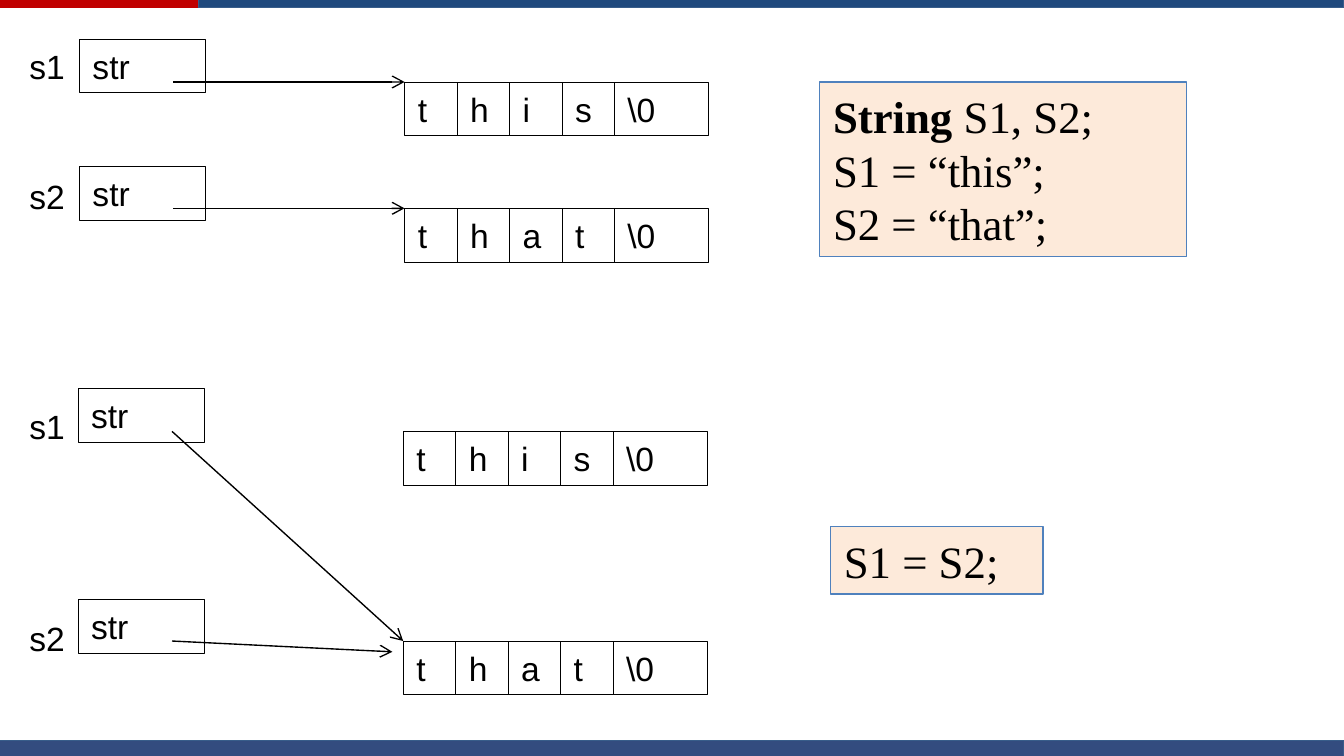
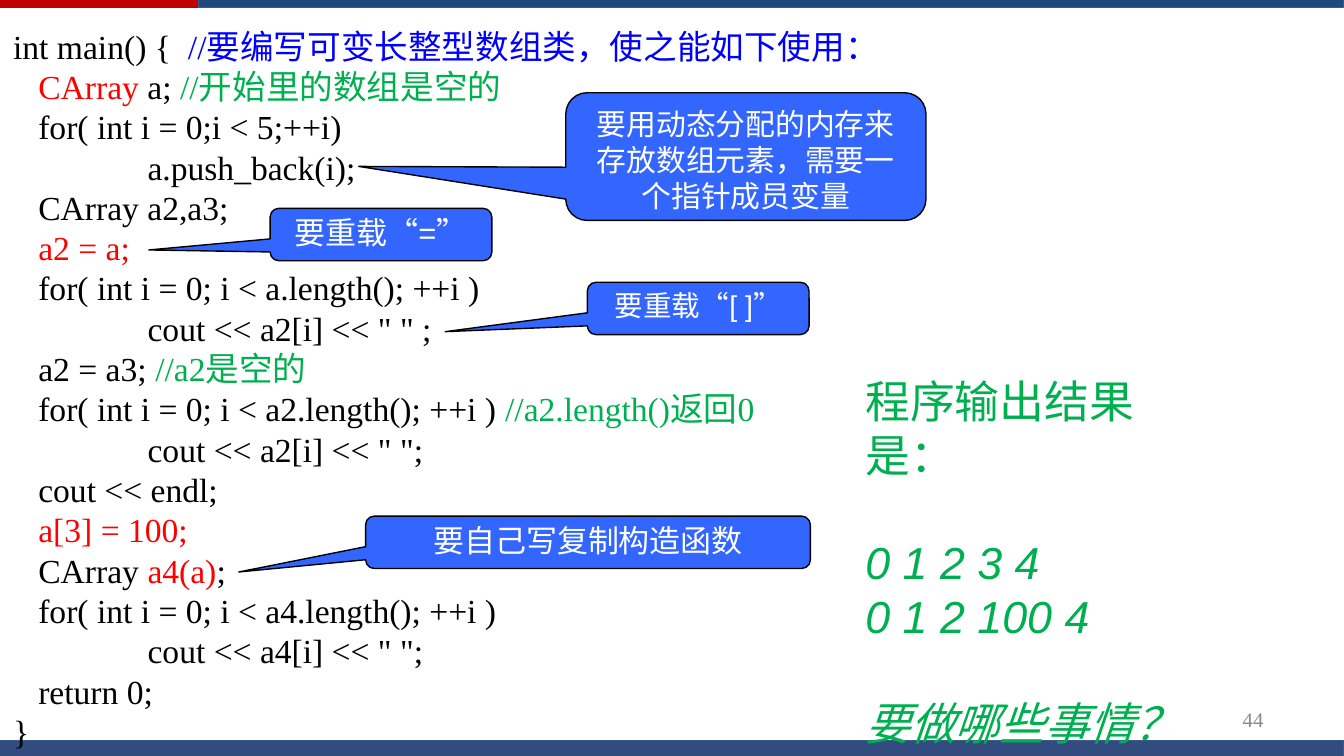
"""Build two slides on string pointers and a growable array class."""
from lxml import etree
from pptx import Presentation, util as u
from pptx.dml.color import RGBColor
from pptx.enum import shapes, text
from pptx.oxml.ns import qn

BLACK = RGBColor(0x00, 0x00, 0x00)
WHITE = RGBColor(0xFF, 0xFF, 0xFF)
RED = RGBColor(0xFF, 0x00, 0x00)
BLUE = RGBColor(0x00, 0x00, 0xFF)
GREEN = RGBColor(0x00, 0xB0, 0x50)
GREY = RGBColor(0x89, 0x89, 0x89)
BAND_RED = RGBColor(0xC0, 0x00, 0x00)
BAND_BLUE = RGBColor(0x1F, 0x49, 0x7D)
FOOTER_NAVY = RGBColor(0x00, 0x20, 0x60)
BAND_EDGE = RGBColor(0x38, 0x5D, 0x8A)
PEACH = RGBColor(0xFD, 0xEA, 0xDA)
PEACH_EDGE = RGBColor(0x4F, 0x81, 0xBD)
CALLOUT_BLUE = RGBColor(0x33, 0x66, 0xFF)

SANS = "Arial"
SERIF = "Times New Roman"
LEADING = 1.2
CELL_WIDTH = 0.39
END_WIDTH = 0.7
ROW_HEIGHT = 0.4
SLIDE_WIDTH = u.Inches(10)
RECT = shapes.MSO_SHAPE.RECTANGLE
CALLOUT = shapes.MSO_SHAPE.ROUNDED_RECTANGULAR_CALLOUT
ALIGN = text.PP_ALIGN
ANCHOR = text.MSO_ANCHOR

PROGRAM = [
    [("int main() {  ", BLACK), ("//要编写可变长整型数组类，使之能如下使用：", BLUE)],
    [("   ", BLACK), ("CArray", RED), (" a; ", BLACK), ("//开始里的数组是空的", GREEN)],
    "   for( int i = 0;i < 5;++i)",
    "   \ta.push_back(i);",
    "   CArray a2,a3;",
    [("   ", BLACK), ("a2 = a;", RED)],
    "   for( int i = 0; i < a.length(); ++i )",
    "   \tcout << a2[i] << \" \" ;",
    [("   a2 = a3; ", BLACK), ("//a2是空的", GREEN)],
    [("   for( int i = 0; i < a2.length(); ++i ) ", BLACK), ("//a2.length()返回0", GREEN)],
    "   \tcout << a2[i] << \" \";",
    "   cout << endl;",
    [("   ", BLACK), ("a[3] = 100;", RED)],
    [("   CArray ", BLACK), ("a4(a)", RED), (";", BLACK)],
    "   for( int i = 0; i < a4.length(); ++i )",
    "   \tcout << a4[i] << \" \";",
    "   return 0;",
    "}",
]


def apply(target, formats):
    """Set each attribute of target from a dict."""
    for name, value in formats.items():
        setattr(target, name, value)


def inches(*lengths):
    """Convert numbers to lengths."""
    return [u.Inches(length) for length in lengths]


def add_tab_stop(paragraph, position):
    """Give a paragraph one left tab stop."""
    stops = etree.SubElement(paragraph._p.get_or_add_pPr(), qn("a:tabLst"))
    etree.SubElement(stops, qn("a:tab"), pos=str(u.Inches(position)), algn="l")


def write_line(paragraph, line, size, font, color, align, spacing):
    """Write one line, given as a string or as (text, colour) pieces."""
    leading = spacing or u.Pt(round(LEADING * size, 1))
    apply(paragraph, {"alignment": align, "line_spacing": leading})
    paragraph._p.get_or_add_pPr().set("hangingPunct", "0")
    for piece, piece_color in [(line, color)] if isinstance(line, str) else line:
        run = paragraph.add_run()
        run.text = piece
        apply(run.font, {"size": u.Pt(size), "name": font})
        run.font.color.rgb = piece_color
        if "\t" in piece:
            add_tab_stop(paragraph, 1)


def write(shape, lines, size=18, font=SANS, color=BLACK, align=ALIGN.LEFT,
          anchor=ANCHOR.TOP, spacing=None):
    """Fill a shape with lines and return its paragraphs."""
    frame = shape.text_frame
    apply(frame, {"word_wrap": True, "vertical_anchor": anchor})
    for index, line in enumerate(lines):
        paragraph = frame.add_paragraph() if index else frame.paragraphs[0]
        write_line(paragraph, line, size, font, color, align, spacing)
    return frame.paragraphs


def add_box(slide, place, fill=None, edge=None, weight=0.75, preset=RECT):
    """Add a preset shape with its own fill and outline."""
    box = slide.shapes.add_shape(preset, *inches(*place))
    box.shadow.inherit = False
    if fill is None:
        box.fill.background()
    else:
        box.fill.solid()
        box.fill.fore_color.rgb = fill
    if edge is None:
        box.line.fill.background()
    else:
        box.line.color.rgb = edge
        box.line._get_or_add_ln().set("w", str(u.Pt(weight)))
    return box


def add_text(slide, place, lines, **style):
    """Add a text box and return its paragraphs."""
    return write(slide.shapes.add_textbox(*inches(*place)), lines, **style)


def add_arrow(slide, start, end):
    """Add a thin black line with an open arrowhead at its end."""
    arrow = slide.shapes.add_connector(shapes.MSO_CONNECTOR.STRAIGHT, *inches(*start, *end))
    arrow.line.color.rgb = BLACK
    arrow.line.width = u.Pt(0.75)
    etree.SubElement(arrow.line._get_or_add_ln(), qn("a:tailEnd"), type="arrow")
    etree.SubElement(arrow._element.spPr, qn("a:effectLst"))


def add_variable(slide, name, left, tops, characters, arrow_end):
    """Draw a string variable, its pointer and the characters in memory."""
    box_top, label_top, memory_top = tops
    write(add_box(slide, (left, box_top, 0.94, ROW_HEIGHT), edge=BLACK, weight=0.25), ["str"])
    add_text(slide, (0.12, label_top, 0.6, ROW_HEIGHT), [name])
    add_arrow(slide, (left + 0.7, memory_top), arrow_end)
    for index, character in enumerate([*characters, "\\0"]):
        width = CELL_WIDTH if index < len(characters) else END_WIDTH
        place = (left + 2.42 + index * CELL_WIDTH, memory_top, width, ROW_HEIGHT)
        write(add_box(slide, place, edge=BLACK, weight=0.25), [character])


def add_statement(slide, place, lines):
    """Add a peach box of statements and return its paragraphs."""
    box = add_box(slide, place, PEACH, PEACH_EDGE)
    return write(box, lines, size=24, font=SERIF, anchor=ANCHOR.MIDDLE)


def add_callout(slide, place, pointer, line, size, spacing=0.9):
    """Add a blue callout whose tip sits at the pointer fractions."""
    callout = add_box(slide, place, CALLOUT_BLUE, BLACK, preset=CALLOUT)
    for index, value in enumerate((*pointer, 0.167)):
        callout.adjustments[index] = value
    write(callout, [line], size=size, color=WHITE, align=ALIGN.CENTER, spacing=spacing)


def add_page(deck):
    """Add a blank slide with the top and bottom bands."""
    slide = deck.slides.add_slide(deck.slide_layouts[6])
    add_box(slide, (0, 0, 10, 0.06), BAND_RED)
    add_box(slide, (1.48, 0, 8.52, 0.06), BAND_BLUE, BAND_EDGE, 0)
    footer = add_box(slide, (0, 5.51, 10, 0.12), FOOTER_NAVY, BAND_EDGE, 0)
    navy = footer._element.spPr.find(qn("a:solidFill"))[0]
    etree.SubElement(navy, qn("a:alpha"), val="80000")
    return slide


def build_pointers(deck):
    """Show the strings before and after a shallow assignment."""
    slide = add_page(deck)
    add_variable(slide, "s1", 0.59, (0.29, 0.29, 0.61), "this", (3.01, 0.61))
    add_variable(slide, "s2", 0.59, (1.24, 1.26, 1.55), "that", (3.01, 1.55))
    add_variable(slide, "s1", 0.58, (2.89, 2.97, 3.21), "this", (3, 4.77))
    add_variable(slide, "s2", 0.58, (4.46, 4.55, 4.77), "that", (2.92, 4.85))
    declaration = [("String ", BLACK), ("S1, S2;", BLACK)]
    statements = add_statement(slide, (6.1, 0.61, 2.73, 1.3),
                               [declaration, "S1 = “this”;", "S2 = “that”;"])
    statements[0].runs[0].font.bold = True
    add_statement(slide, (6.18, 3.92, 1.58, 0.5), ["S1 = S2;"])


def build_array_task(deck):
    """Show the array program, its output and the hints."""
    slide = add_page(deck)
    add_text(slide, (0, 0.14, 9.64, 5.59), PROGRAM, font=SERIF)
    output = add_text(slide, (6.34, 2.73, 2.81, 2.95),
                      ["程序输出结果是：", "0 1 2 3 4", "0 1 2 100 4", "要做哪些事情？"],
                      size=24, color=GREEN)
    for paragraph in output[1:]:
        paragraph.runs[0].font.italic = True
    for paragraph in output[1::2]:
        paragraph.space_before = u.Pt(24 * LEADING)
    add_callout(slide, (2.01, 1.55, 1.65, 0.39), (-1.047, 0.295), "要重载“=”", 16.6)
    add_callout(slide, (4.21, 0.69, 2.68, 0.95), (-1.075, 0.077),
                "要用动态分配的内存来存放数组元素，需要一个指针成员变量", 16, None)
    add_callout(slide, (4.37, 2.1, 1.65, 0.39), (-1.141, 0.443), "要重载“[ ]”", 15.3)
    add_callout(slide, (2.72, 3.84, 3.31, 0.39), (-0.785, 0.566), "要自己写复制构造函数", 16.6)
    add_text(slide, (7.17, 5.21, 2.33, 0.3), ["44"], size=11.1, font=SERIF, color=GREY,
             align=ALIGN.RIGHT, anchor=ANCHOR.MIDDLE, spacing=0.9)


def main():
    """Build and save the presentation."""
    deck = Presentation()
    apply(deck, {"slide_width": SLIDE_WIDTH, "slide_height": SLIDE_WIDTH * 9 // 16})
    build_pointers(deck)
    build_array_task(deck)
    deck.save("out.pptx")


if __name__ == "__main__":
    main()
